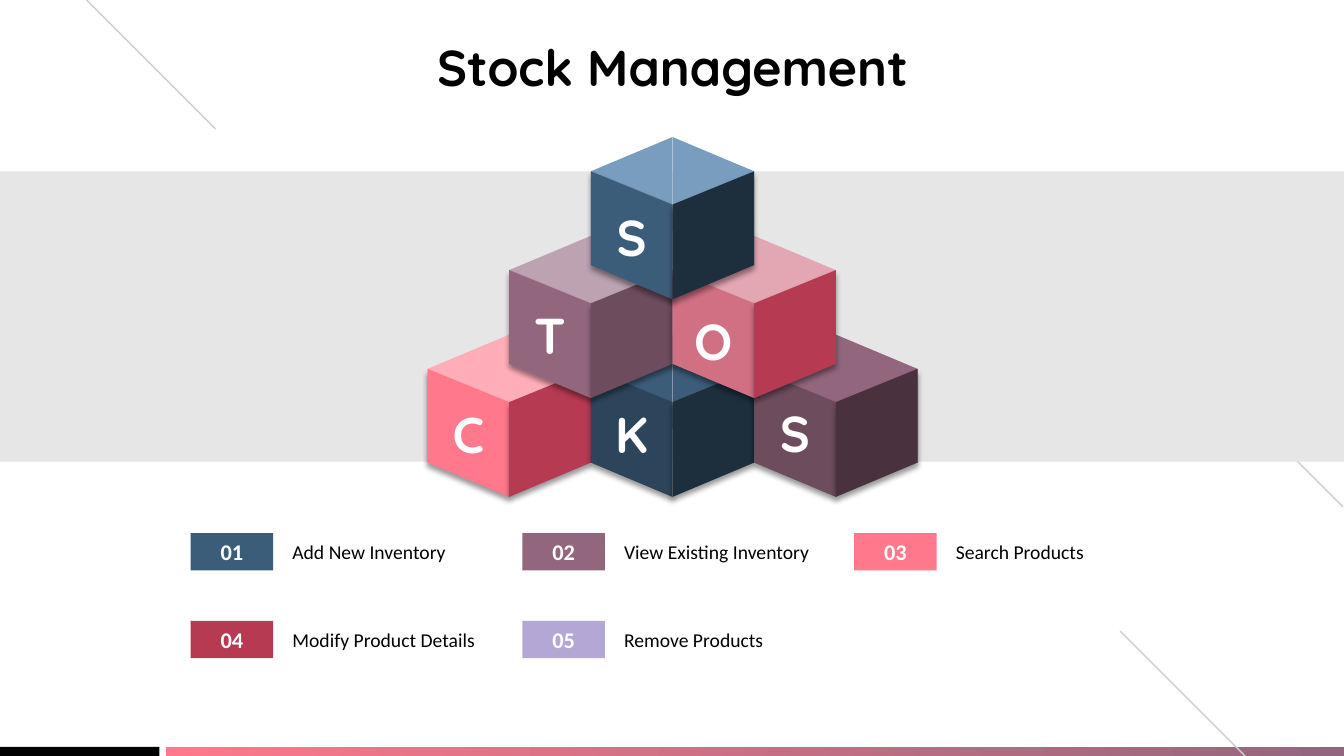
import pptx
import pptx.dml.color
import pptx.enum.shapes
import pptx.enum.text
import pptx.oxml
import pptx.oxml.ns
import pptx.util
from pptx.util import Inches

COLORS = {
    "black": "000000", "white": "FFFFFF", "band": "E7E6E6", "line": "D0CECE",
    "sky": "799DBE", "blue": "3C5D7A", "navy": "2C455B", "midnight": "1D2E3D",
    "mauve": "BDA2B1", "plum": "92667D", "grape": "6D4C5D", "wine": "49323E",
    "blush": "E3A7B3", "rose": "D17083", "crimson": "B63A52",
    "pale_pink": "FFAEB9", "pink": "FF788B", "lavender": "B4A7D6",
}
TITLE = {"name": "Quicksand", "size": 36, "bold": True, "color": "black"}
LETTER = {"name": "Quicksand", "size": 36, "bold": True, "color": "white"}
NUMBER = {"name": "Calibri", "size": 16, "bold": True, "color": "white"}
LABEL = {"name": "Calibri", "size": 14, "bold": False, "color": "black"}
CENTER = pptx.enum.text.PP_ALIGN.CENTER
LEFT = pptx.enum.text.PP_ALIGN.LEFT


def rgb(color):
    return pptx.dml.color.RGBColor.from_string(COLORS[color])


class StockSlide:
    def __init__(self, deck):
        self.page = deck.slides.add_slide(deck.slide_layouts[6])
        self.shapes = self.page.shapes

    def fill_text(self, box, text, style, align, inset=(0.1, 0.05)):
        frame = box.text_frame
        across, down = map(Inches, inset)
        layout = {"word_wrap": True, "margin_left": across, "margin_right": across,
                  "margin_top": down, "margin_bottom": down,
                  "vertical_anchor": pptx.enum.text.MSO_ANCHOR.MIDDLE}
        for name, value in layout.items():
            setattr(frame, name, value)
        para = frame.paragraphs[0]
        para.alignment = align
        span = para.add_run()
        span.text = text
        for name, value in style.items():
            if name == "color":
                span.font.color.rgb = rgb(value)
            else:
                setattr(span.font, name, pptx.util.Pt(value) if name == "size" else value)

    def text(self, place, text, style, align=CENTER, inset=(0.1, 0.05), parent=None):
        box = (parent or self.shapes).add_textbox(*map(Inches, place))
        self.fill_text(box, text, style, align, inset)

    def rect(self, place, color, parent=None):
        box = (parent or self.shapes).add_shape(
            pptx.enum.shapes.MSO_SHAPE.RECTANGLE, *map(Inches, place))
        box.shadow.inherit = False
        box.fill.solid()
        box.fill.fore_color.rgb = rgb(color)
        box.line.fill.background()
        return box

    def gradient_rect(self, place, colors):
        box = self.rect(place, colors[0])
        box.fill.gradient()
        box.fill.gradient_angle = 180
        for stop, color in zip(box.fill.gradient_stops, colors):
            stop.color.rgb = rgb(color)

    def line(self, start, end):
        line = self.shapes.add_connector(
            pptx.enum.shapes.MSO_CONNECTOR.STRAIGHT, *map(Inches, start + end))
        line.line.color.rgb = rgb("line")
        line.line.width = pptx.util.Pt(1)
        line._element.spPr.append(pptx.oxml.parse_xml(
            f'<a:effectLst {pptx.oxml.ns.nsdecls("a")}/>'))

    def outline(self, points, closed):
        points = [tuple(map(Inches, point)) for point in points]
        builder = self.shapes.build_freeform(*points[0])
        builder.add_line_segments(points[1:], close=closed)
        shape = builder.convert_to_shape()
        shape.shadow.inherit = False
        return shape

    def chevron(self, points):
        shape = self.outline(points, closed=False)
        shape.fill.background()
        shape.line.color.rgb = rgb("line")
        shape.line.width = pptx.util.Pt(1)

    def face(self, points, color, shaded=False):
        shape = self.outline(points, closed=True)
        shape.fill.solid()
        shape.fill.fore_color.rgb = rgb(color)
        shape.line.fill.background()
        if shaded:
            effects = shape._element.spPr.find(pptx.oxml.ns.qn("a:effectLst"))
            effects.append(pptx.oxml.parse_xml(
                f'<a:outerShdw {pptx.oxml.ns.nsdecls("a")} blurRad="{pptx.util.Pt(4)}" '
                f'dist="{pptx.util.Pt(3)}" dir="5400000" algn="t" rotWithShape="0">'
                '<a:srgbClr val="000000"><a:alpha val="40000"/></a:srgbClr></a:outerShdw>'))

    def cube(self, middle, top, lid, left, right):
        sides = (middle - HALF, middle + HALF)
        for side in sides:
            self.face([(middle, top), (side, top + 0.34),
                       (side, top + 1.27), (middle, top + 0.93)], lid)
        for side, color in zip(sides, (left, right)):
            self.face([(middle, top + 1.61), (side, top + 1.27),
                       (side, top + 0.34), (middle, top + 0.67)], color, shaded=True)

    def legend_item(self, left, top, number, text, color):
        group = self.shapes.add_group_shape().shapes
        badge = self.rect((left, top, 0.82, 0.37), color, group)
        self.fill_text(badge, number, NUMBER, CENTER)
        self.text((left + 1.01, top - 0.17, 1.96, 0.71), text, LABEL, LEFT, (0, 0), group)


HALF = 0.81
CENTER_X = 6.67
# Row, offset in half cubes, letter, letter drop, lid, left and right face
CUBES = [
    (2, -2, "C", 0.62, "pale_pink", "pink", "crimson"),
    (2, 0, "K", 0.62, "blue", "navy", "midnight"),
    (2, 2, "S", 0.61, "plum", "grape", "wine"),
    (1, -1, "T", 0.62, "mauve", "plum", "grape"),
    (1, 1, "O", 0.68, "blush", "rose", "crimson"),
    (0, 0, "S", 0.63, "sky", "blue", "midnight"),
]
LEGEND = [
    ("Add New Inventory", "blue"),
    ("View Existing Inventory", "plum"),
    ("Search Products", "pink"),
    ("Modify Product Details", "crimson"),
    ("Remove Products", "lavender"),
]


def main():
    deck = pptx.Presentation()
    deck.slide_width, deck.slide_height = Inches(13.33), Inches(7.5)
    slide = StockSlide(deck)

    # Footer bars and thin background lines
    slide.gradient_rect((1.65, 7.41, 11.68, 0.09), ("plum", "pink"))
    slide.rect((0, 7.41, 1.58, 0.09), "black")
    slide.line((11.11, 6.26), (12.35, 7.5))
    slide.line((0.86, 0), (2.14, 1.28))
    slide.chevron([(13.32, 2.47), (12.04, 3.75), (13.32, 5.03)])

    # Title and grey band
    slide.text((1.1, 0.35, 11.14, 0.61), "Stock Management", TITLE, inset=(0, 0))
    slide.rect((0, 1.7, 13.33, 2.88), "band")

    # Pyramid of cubes, then the letters on their left faces
    letters = []
    for row, offset, letter, drop, *faces in CUBES:
        middle, top = CENTER_X + offset * HALF, 1.36 + row * 0.98
        slide.cube(middle, top, *faces)
        letters.append(((middle - HALF, top + drop, HALF, 0.71), letter))
    for place, letter in letters:
        slide.text(place, letter, LETTER)

    # Numbered legend, three to a row
    for index, (text, color) in enumerate(LEGEND):
        row, column = divmod(index, 3)
        slide.legend_item(1.89 + column * 3.29, 5.29 + row * 0.87,
                          f"{index + 1:02}", text, color)

    deck.save("out.pptx")


if __name__ == "__main__":
    main()
